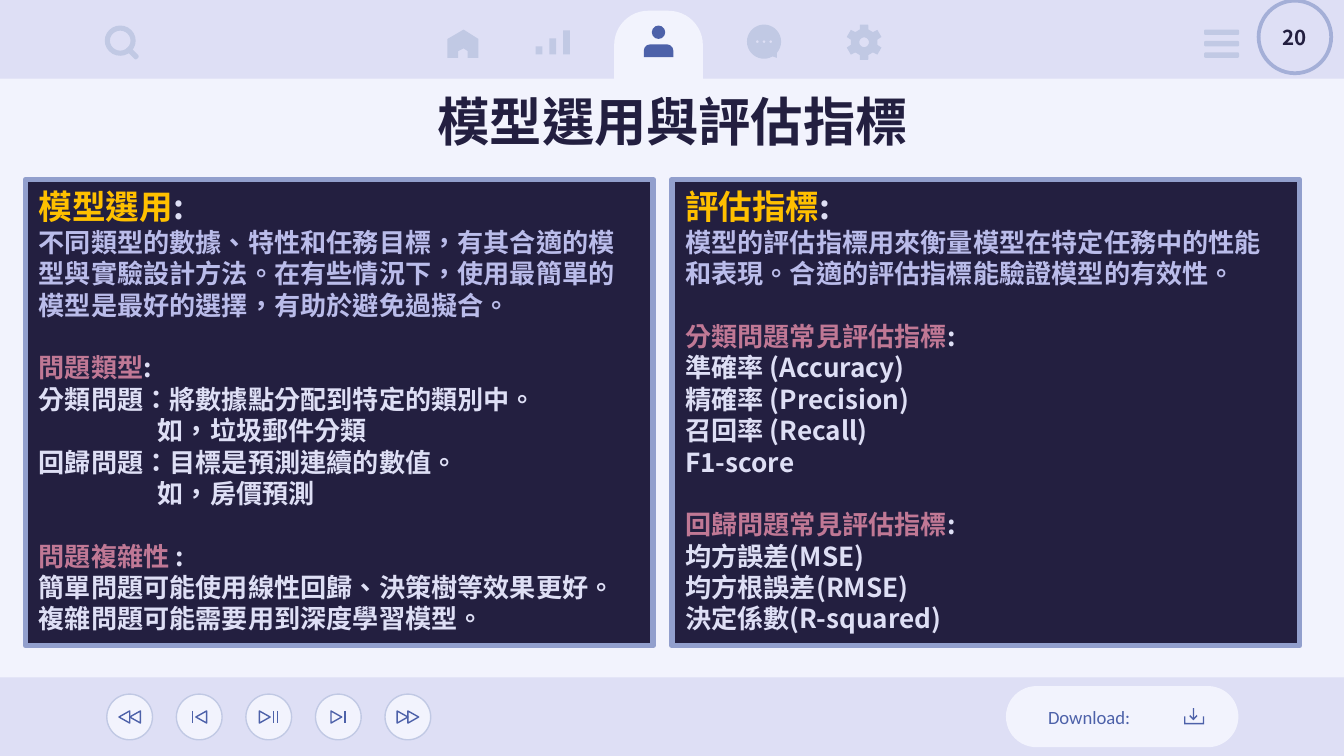
"""Build the slide on model selection and evaluation metrics."""
import math

from lxml import etree
from pptx import Presentation
from pptx import util as u
from pptx.dml.color import RGBColor
from pptx.enum import shapes, text
from pptx.oxml.ns import qn

CELL = u.Inches(0.01)
COLUMNS, ROWS = 1000, 562.5
BAND_ROWS = 58.5
FONT = "Noto Sans CJK SC"
LINE_FACTOR = 1.2

PAPER = RGBColor(0xF2, 0xF3, 0xFD)
BAND = RGBColor(0xDE, 0xDF, 0xF5)
ICON = RGBColor(0xC1, 0xC9, 0xE4)
ACTIVE = RGBColor(0x4D, 0x61, 0xA9)
INK = RGBColor(0x23, 0x1F, 0x40)
FRAME = RGBColor(0x92, 0x9F, 0xCD)
BADGE = RGBColor(0xA4, 0xAF, 0xD7)
GOLD = RGBColor(0xFF, 0xC0, 0x00)
LAVENDER = RGBColor(0xBA, 0xBC, 0xEA)
ROSE = RGBColor(0xC0, 0x78, 0x95)

RECTANGLE = shapes.MSO_SHAPE.RECTANGLE
ROUNDED = shapes.MSO_SHAPE.ROUNDED_RECTANGLE
ARCH = shapes.MSO_SHAPE.ROUND_2_SAME_RECTANGLE
OVAL = shapes.MSO_SHAPE.OVAL

SELECTION = [
    ("title", "模型選用"),
    ("intro", "不同類型的數據、特性和任務目標，有其合適的模型與實驗設計方法。"
              "在有些情況下，使用最簡單的模型是最好的選擇，有助於避免過擬合。"),
    ("heading", "問題類型"),
    ("body", "分類問題：將數據點分配到特定的類別中。"),
    ("example", "如，垃圾郵件分類"),
    ("body", "回歸問題：目標是預測連續的數值。"),
    ("example", "如，房價預測"),
    ("heading", "問題複雜性 "),
    ("body", "簡單問題可能使用線性回歸、決策樹等效果更好。"),
    ("body", "複雜問題可能需要用到深度學習模型。"),
]
METRICS = [
    ("title", "評估指標"),
    ("intro", "模型的評估指標用來衡量模型在特定任務中的性能和表現。"
              "合適的評估指標能驗證模型的有效性。"),
    ("heading", "分類問題常見評估指標"),
    ("body", "準確率 (Accuracy)"),
    ("body", "精確率 (Precision)"),
    ("body", "召回率 (Recall)"),
    ("body", "F1-score"),
    ("heading", "回歸問題常見評估指標"),
    ("body", "均方誤差(MSE)"),
    ("body", "均方根誤差(RMSE)"),
    ("body", "決定係數(R-squared)"),
]
COLORS = {"title": GOLD, "intro": LAVENDER, "heading": ROSE, "body": BAND, "example": BAND}


def cells(*counts):
    """Turn counts of grid cells into lengths."""
    return [u.Emu(round(count * CELL)) for count in counts]


def paint(shape, fill=None, line=None, width=0.75):
    """Set the fill and line of a shape and drop its shadow."""
    shape.shadow.inherit = False
    if fill is None:
        shape.fill.background()
    else:
        shape.fill.solid()
        shape.fill.fore_color.rgb = fill
    if line is None:
        shape.line.fill.background()
    else:
        shape.line.color.rgb = line
        shape.line.width = u.Pt(width)
    return shape


def add_preset(slide, kind, box, fill=None, adjust=(), rotation=0, **line):
    """Add a preset shape on the grid."""
    shape = slide.shapes.add_shape(kind, *cells(*box))
    for index, value in enumerate(adjust):
        shape.adjustments[index] = value
    shape.rotation = rotation
    return paint(shape, fill, **line)


def add_outline(slide, fill, *contours):
    """Add a filled freeform made of closed contours."""
    contours = [[cells(*point) for point in contour] for contour in contours]
    builder = slide.shapes.build_freeform(*contours[0][0], scale=1.0)
    for index, contour in enumerate(contours):
        if index:
            builder.move_to(*contour[0])
        builder.add_line_segments(contour[1:], close=True)
    return paint(builder.convert_to_shape(), fill)


def add_stroke(slide, x, top, bottom):
    """Add an upright line of a player button."""
    line = slide.shapes.add_connector(shapes.MSO_CONNECTOR.STRAIGHT, *cells(x, top, x, bottom))
    line.line.color.rgb = ACTIVE
    line.line.width = u.Pt(0.75)
    etree.SubElement(line._element.spPr, qn("a:effectLst"))


def add_text(paragraph, words, size=14, color=BAND, font=FONT, bold=True, language="zh-TW"):
    """Add a formatted run to a paragraph."""
    run = paragraph.add_run()
    run.text = words
    run.font.size, run.font.bold, run.font.name = u.Pt(size), bold, font
    run.font.color.rgb = color
    properties = run._r.get_or_add_rPr()
    properties.set("lang", language)
    etree.SubElement(properties, qn("a:ea"), typeface=font)


def set_frame(shape, anchor=text.MSO_ANCHOR.MIDDLE, inset=10):
    """Set wrapping, anchor and even insets, and return the text frame."""
    frame = shape.text_frame
    frame.word_wrap, frame.vertical_anchor = True, anchor
    frame.margin_left, frame.margin_top, frame.margin_right, frame.margin_bottom = cells(*[inset] * 4)
    return frame


def circle(x, y, radius, start=0, end=360):
    """List points along an arc, clockwise from the right."""
    return [(x + radius * math.cos(math.radians(angle)), y + radius * math.sin(math.radians(angle)))
            for angle in range(start, end, 10)]


def gear(x, y, outer, inner):
    """List the corners of a wheel with six teeth."""
    corners = [(30 + 60 * tooth + turn, radius) for tooth in range(6)
               for turn, radius in ((-19, inner), (-13, outer), (13, outer), (19, inner))]
    return [(x + radius * math.cos(math.radians(angle)), y + radius * math.sin(math.radians(angle)))
            for angle, radius in corners]


def add_navigation(slide):
    """Draw the bands, the active tab and the icons at the top."""
    for top in (0, ROWS - BAND_ROWS):
        add_preset(slide, ROUNDED, (0, top, COLUMNS, BAND_ROWS), BAND, [0])
    add_preset(slide, ARCH, (457, 8, 66, 51), PAPER, [0.5, 0])
    add_preset(slide, OVAL, (485, 19, 10, 10), ACTIVE)
    add_preset(slide, ARCH, (479, 33, 22, 9.5), ACTIVE, [0.5, 0])
    add_outline(slide, ICON, [(345, 22), (333, 29), (333, 43), (341, 43), (341, 38), (345, 36),
                              (348, 38), (348, 43), (356, 43), (356, 29)])
    for bar in range(3):
        height = 6 * (bar + 1)
        add_preset(slide, RECTANGLE, (398.5 + 10.25 * bar, 40.5 - height, 5, height), ICON)
    dots = [circle(568.5 + 5 * step, 31, 1) for step in (-1, 0, 1)]
    add_outline(slide, ICON, circle(568.5, 31, 12.7, 60, 410) + [(578, 40), (578, 43)], *dots)
    add_outline(slide, ICON, gear(643, 31.5, 13.5, 10), circle(643, 31.5, 3.6))
    for row in range(3):
        add_preset(slide, ROUNDED, (896, 22 + 8.5 * row, 26, 4), ICON, [0.25])
    add_preset(slide, shapes.MSO_SHAPE.DONUT, (78, 19, 23, 22.5), ICON, [0.17])
    add_preset(slide, ROUNDED, (93, 37.5, 11, 4), ICON, [0.4], rotation=45)


def add_player(slide):
    """Draw the player buttons, given as triangle and bar offsets."""
    buttons = [(270, (4, -4), ()), (270, (1.5,), (-5,)), (90, (-3,), (3.5, 6.5)),
               (90, (-1.5,), (5,)), (90, (-4, 4), ())]
    for index, (rotation, triangles, bars) in enumerate(buttons):
        center = 96.5 + 51.75 * index
        add_preset(slide, OVAL, (center - 17, 516.5, 34, 34), PAPER, line=ICON)
        for offset in triangles:
            add_preset(slide, shapes.MSO_SHAPE.ISOSCELES_TRIANGLE,
                       (center + offset - 4.5, 529.5, 9, 8), rotation=rotation, line=ACTIVE)
        for offset in bars:
            add_stroke(slide, center + offset, 529, 538)


def add_download(slide):
    """Draw the download pill with its label and icon."""
    add_preset(slide, ROUNDED, (748.5, 510.5, 173, 45.5), PAPER, [0.5])
    add_preset(slide, RECTANGLE, (887.5, 527, 1, 8.5), ACTIVE)
    add_outline(slide, ACTIVE, [(881, 533), (881, 539), (896, 539), (896, 533), (895, 533),
                                (895, 538), (882, 538), (882, 533)])
    add_outline(slide, ACTIVE, [(885.5, 532), (885, 533), (888, 536), (891, 533), (890.5, 532),
                                (888, 534.5)])
    label = slide.shapes.add_textbox(*cells(770, 521.5, 96, 24))
    add_text(set_frame(label).paragraphs[0], "Download:", 10, ACTIVE, "Calibri", False, "en-US")


def add_panel(slide, left, entries):
    """Add a dark panel and fill it with styled paragraphs."""
    panel = add_preset(slide, RECTANGLE, (left, 133.5, 467, 347), INK, line=FRAME, width=3)
    frame = set_frame(panel, text.MSO_ANCHOR.TOP)
    frame.margin_top, frame.margin_bottom = cells(5, 0)
    for index, (style, words) in enumerate(entries):
        paragraph = frame.add_paragraph() if index else frame.paragraphs[0]
        paragraph.alignment = text.PP_ALIGN.LEFT
        size = 18 if style == "title" else 14
        paragraph.line_spacing = u.Pt(size * LINE_FACTOR)
        if style == "heading":
            paragraph.space_before = u.Pt(size * LINE_FACTOR)
        if style == "example":
            paragraph._p.get_or_add_pPr().set("marL", str(cells(88.5)[0]))
        add_text(paragraph, words, size, COLORS[style])
        if style in ("title", "heading"):
            add_text(paragraph, ":", size)


def add_centered(shape, words, size, inset):
    """Write one centred line into a shape."""
    paragraph = set_frame(shape, inset=inset).paragraphs[0]
    paragraph.alignment = text.PP_ALIGN.CENTER
    add_text(paragraph, words, size, INK)


def main():
    """Build and save the slide."""
    presentation = Presentation()
    presentation.slide_width, presentation.slide_height = cells(COLUMNS, ROWS)
    slide = presentation.slides.add_slide(presentation.slide_layouts[5])
    slide.background.fill.solid()
    slide.background.fill.fore_color.rgb = PAPER
    add_navigation(slide)
    add_player(slide)
    add_download(slide)
    title = slide.shapes.title
    title.left, title.top, title.width, title.height = cells(79, 58.5, 843, 63)
    add_centered(title, "模型選用與評估指標", 28, 10)
    for left, entries in ((19, SELECTION), (500, METRICS)):
        add_panel(slide, left, entries)
    badge = add_preset(slide, OVAL, (936.5, 0.5, 54, 54), BAND, line=BADGE, width=2)
    add_centered(badge, "20", 11, 5)
    presentation.save("out.pptx")


if __name__ == "__main__":
    main()
